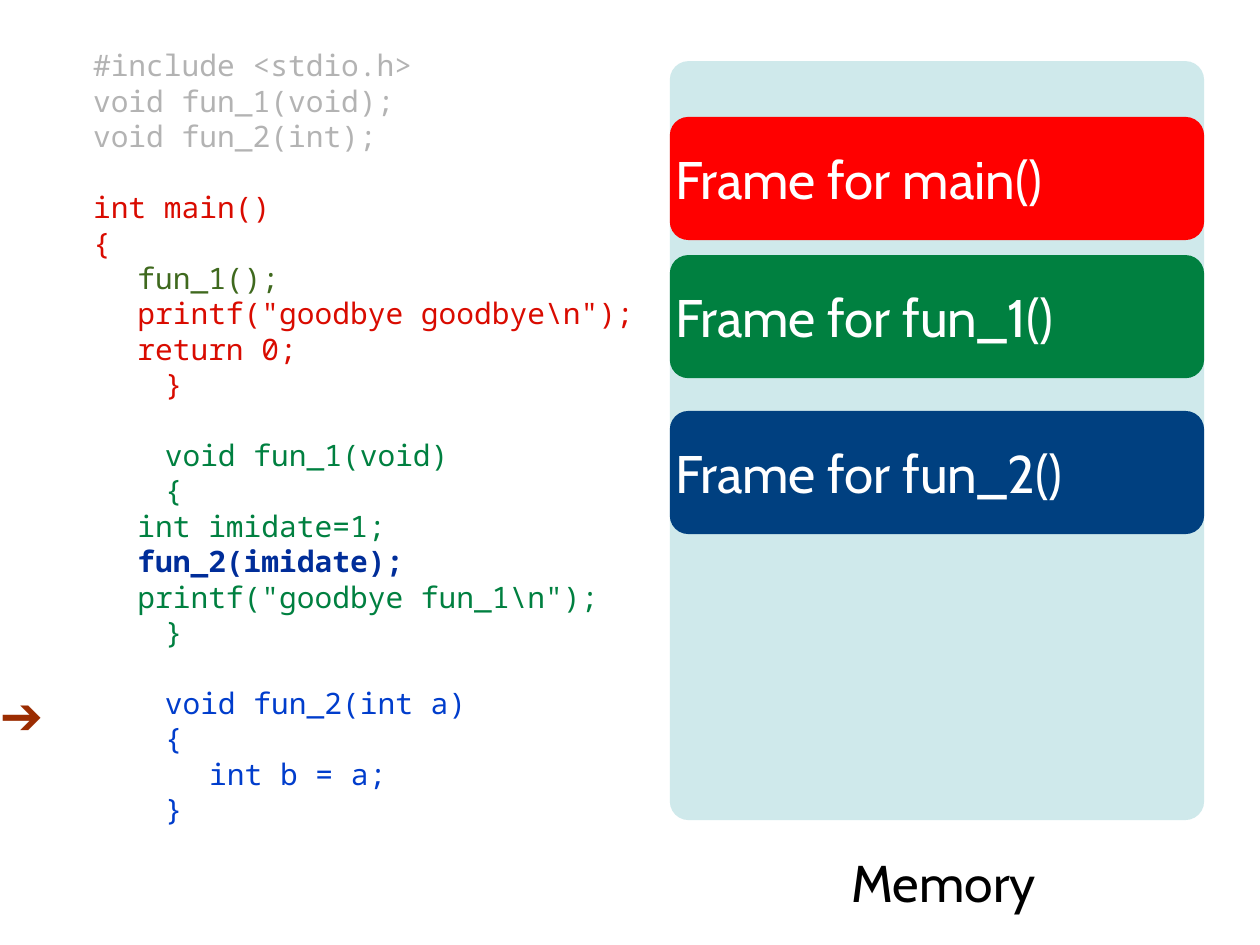
from lxml import etree
from pptx import Presentation
from pptx import util as u
from pptx.dml.color import RGBColor
from pptx.enum import shapes, text
from pptx.oxml import ns

COLORS = {
    "gray": "B3B3B3", "main": "D90B00", "call_1": "3F691E", "fun_1": "008040",
    "call_2": "002D99", "fun_2": "003DCC", "black": "000000", "white": "FFFFFF",
    "memory": "BBE0E3", "frame_main": "FF0000", "frame_2": "004080",
    "pointer": "9B2C01",
}
FLUSH, BODY, NESTED = (0, 0), (0.81, -0.31), (0.81, 0)  # left margin, first-line indent
LINE_PITCH = 28.8

# Each block is one part of the program, parted from the next by an empty line.
PROGRAM = [
    [("#include <stdio.h>", "gray", FLUSH),
     ("void fun_1(void);", "gray", FLUSH),
     ("void fun_2(int);", "gray", FLUSH)],
    [("int main()", "main", FLUSH),
     ("{", "main", FLUSH),
     ("fun_1();", "call_1", BODY),
     ('printf("goodbye goodbye\\n");', "main", BODY),
     ("return 0;", "main", BODY),
     ("}", "main", NESTED)],
    [("void fun_1(void)", "fun_1", NESTED),
     ("{", "fun_1", NESTED),
     ("int imidate=1;", "fun_1", BODY),
     ("fun_2(imidate);", "call_2", BODY),
     ('printf("goodbye fun_1\\n");', "fun_1", BODY),
     ("}", "fun_1", NESTED)],
    [("void fun_2(int a)", "fun_2", NESTED),
     ("{", "fun_2", NESTED),
     ("\tint b = a;", "fun_2", NESTED),
     ("}", "fun_2", NESTED)],
]
FRAMES = [("main", 1.32, "frame_main"), ("fun_1", 2.88, "fun_1"), ("fun_2", 4.64, "frame_2")]


def color(name):
    return RGBColor.from_string(COLORS[name])


def write(paragraph, words, *, size, font, ink, bold=False):
    run = paragraph.add_run()
    run.text = words
    run.font.size = u.Pt(size)
    run.font.name = font
    run.font.bold = bold
    run.font.color.rgb = color(ink)
    paragraph.alignment = text.PP_ALIGN.LEFT


class StackSlide:
    """Holds the slide and the typefaces of its code and labels."""
    code_font, label_font, symbol_font = "Noto Sans Mono", "Cabin", "Arial"

    def __init__(self, slide):
        self.slide = slide

    def prepare(self, holder, wrap):
        """Give a shape's text frame no margins and a middle anchor."""
        frame = holder.text_frame
        frame.margin_left = frame.margin_right = 0
        frame.margin_top = frame.margin_bottom = 0
        frame.vertical_anchor = text.MSO_ANCHOR.MIDDLE
        frame.word_wrap = wrap
        return frame

    def text_box(self, left, top, width, height, wrap=False):
        box = self.slide.shapes.add_textbox(*map(u.Inches, (left, top, width, height)))
        return self.prepare(box, wrap)

    def label(self, words, place, **style):
        write(self.text_box(*place).paragraphs[0], words, **style)

    def code(self, blocks, place):
        frame = self.text_box(*place, wrap=True)
        for block_number, block in enumerate(blocks):
            for line_number, (words, ink, (margin, indent)) in enumerate(block):
                first = block_number == line_number == 0
                line = frame.paragraphs[0] if first else frame.add_paragraph()
                properties = line._p.get_or_add_pPr()
                properties.set("marL", str(u.Inches(margin)))
                properties.set("indent", str(u.Inches(indent)))
                line.line_spacing = u.Pt(LINE_PITCH)
                if block_number and line_number == 0:
                    line.space_before = u.Pt(LINE_PITCH)
                write(line, words, size=24, font=self.code_font, ink=ink,
                      bold=ink == "call_2")

    def panel(self, top, height, fill, corner, opacity=100):
        """Add a rounded panel in the memory column."""
        panel = self.slide.shapes.add_shape(
            shapes.MSO_SHAPE.ROUNDED_RECTANGLE,
            *map(u.Inches, (7.56, top, 6.03, height)))
        panel.adjustments[0] = corner
        panel.shadow.inherit = False
        panel.line.fill.background()
        panel.fill.solid()
        panel.fill.fore_color.rgb = color(fill)
        if opacity < 100:
            solid = panel._element.spPr.find(ns.qn("a:solidFill"))
            etree.SubElement(solid[0], ns.qn("a:alpha"), val=str(opacity * 1000))
        return panel

    def stack_frame(self, function, top, fill):
        panel = self.panel(top, 1.39, fill, corner=0.15)
        write(self.prepare(panel, True).paragraphs[0], f"Frame for {function}()",
              size=43, font=self.label_font, ink="white")


def main():
    deck = Presentation()
    deck.slide_width, deck.slide_height = u.Inches(14.22), u.Inches(10.67)
    stack = StackSlide(deck.slides.add_slide(deck.slide_layouts[6]))

    stack.code(PROGRAM, (1.05, 0.45, 6.38, 8.97))
    stack.panel(0.69, 8.57, "memory", corner=0.035, opacity=70)
    stack.label("Memory", (9.61, 9.54, 2.27, 0.83),
                size=42, font=stack.label_font, ink="black")
    for function, top, fill in FRAMES:
        stack.stack_frame(function, top, fill)
    stack.label("➔", (0, 7.7, 0.63, 0.71),
                size=42, font=stack.symbol_font, ink="pointer")

    deck.save("out.pptx")


if __name__ == "__main__":
    main()
